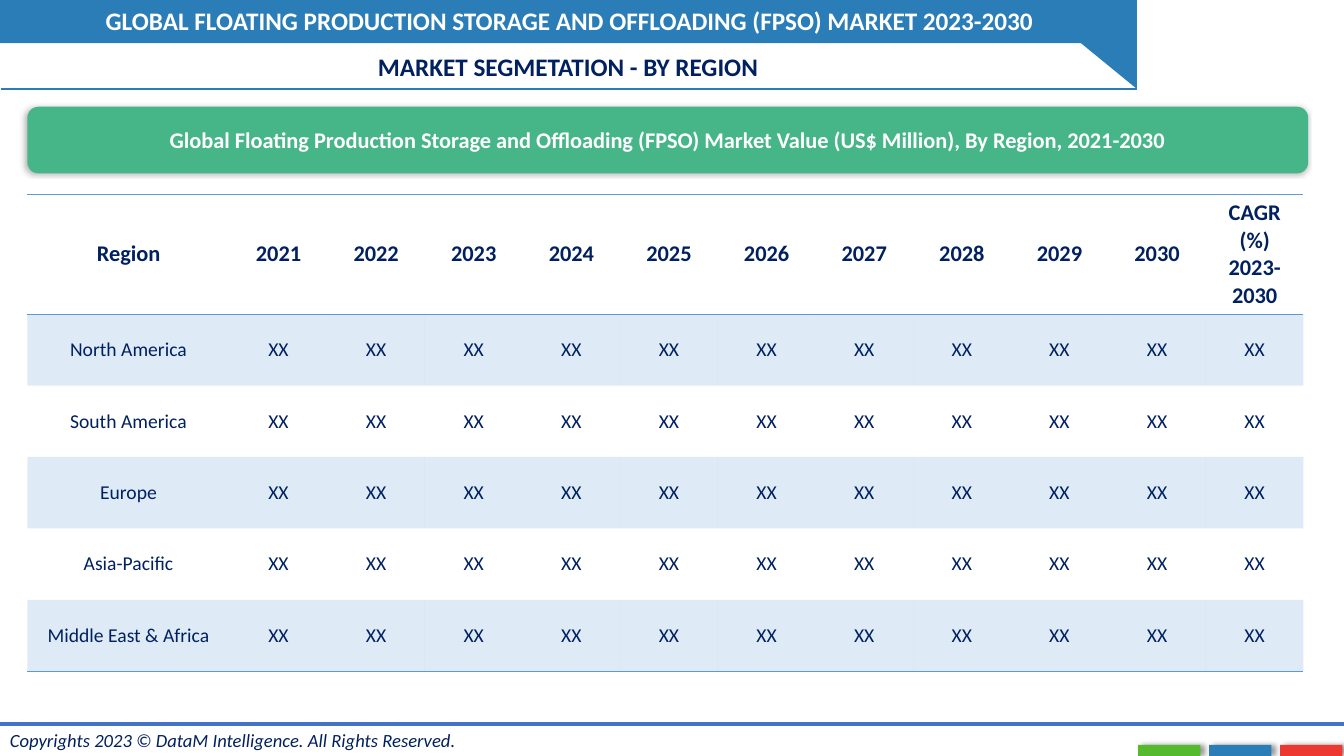
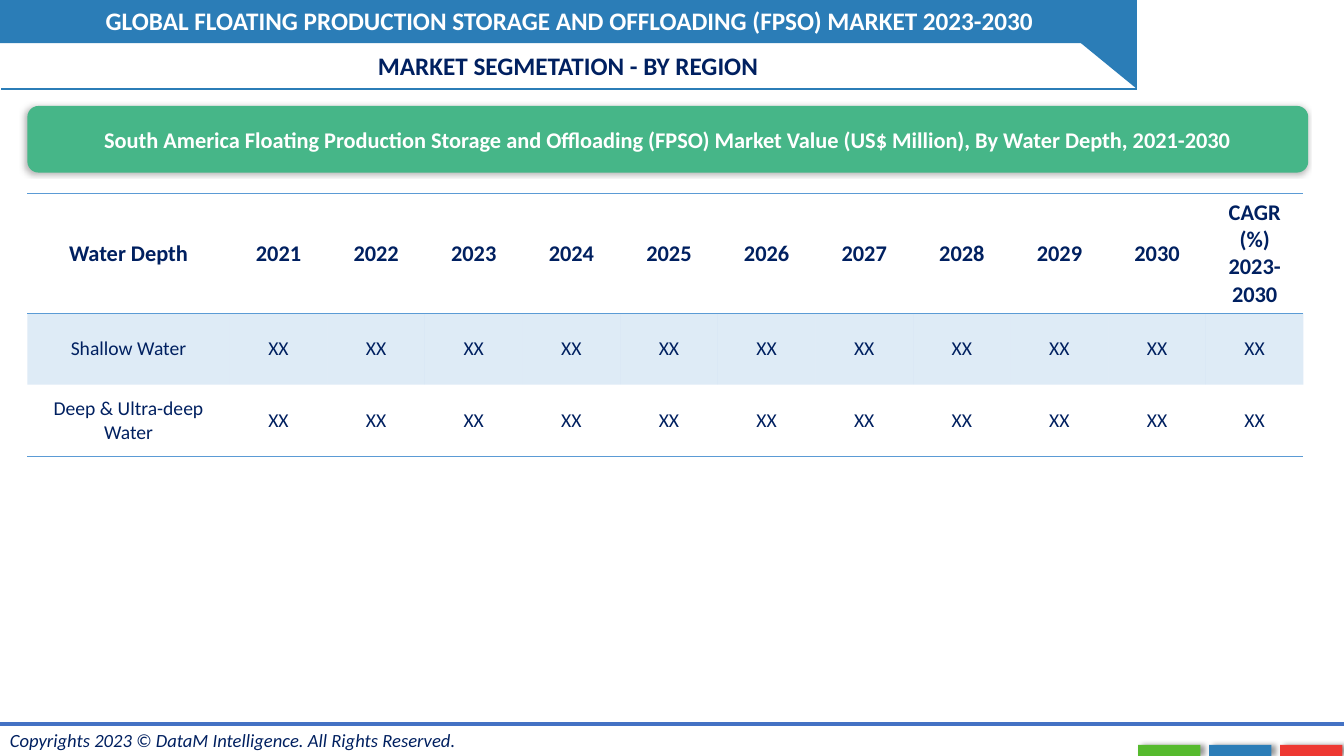
from lxml import etree
from pptx import Presentation
from pptx.dml.color import RGBColor
from pptx.enum import shapes, text
from pptx.oxml.ns import qn
from pptx.util import Cm, Pt

BLUE = RGBColor(0x2B, 0x7D, 0xB7)
GREEN = RGBColor(0x56, 0xBA, 0x2E)
RED = RGBColor(0xED, 0x38, 0x32)
TEAL = RGBColor(0x46, 0xB6, 0x88)
NAVY = RGBColor(0x00, 0x20, 0x60)
WHITE = RGBColor(0xFF, 0xFF, 0xFF)
RULE_BLUE = RGBColor(0x44, 0x72, 0xC4)
TABLE_BLUE = RGBColor(0x5B, 0x9B, 0xD5)

PLAIN_TABLE = "{2D5ABB26-0587-4C30-8999-92F81FD0307C}"
HEADING = {"size": Pt(18), "bold": True}
STRONG = {"size": Pt(16), "bold": True}
NORMAL = {"size": Pt(14), "bold": False}
SMALL = {"size": Pt(13.3), "italic": True}

YEARS = [str(year) for year in range(2021, 2031)]
REGIONS = ["North America", "South America", "Europe", "Asia-Pacific", "Middle East & Africa"]
DEPTHS = ["Shallow Water", "Deep & Ultra-deep Water"]


def write(frame, words, style, color, align=text.PP_ALIGN.CENTER):
    frame.word_wrap = True
    para = frame.paragraphs[0]
    para.alignment = align
    span = para.add_run()
    span.text = words
    for name, value in {"name": "Calibri", **style}.items():
        setattr(span.font, name, value)
    span.font.color.rgb = color


def add_text(page, place, words, style, color, align=text.PP_ALIGN.CENTER):
    box = page.shapes.add_textbox(*map(Cm, place))
    write(box.text_frame, words, style, color, align)


def add_block(page, kind, place, color):
    block = page.shapes.add_shape(kind, *map(Cm, place))
    block.shadow.inherit = False
    block.fill.solid()
    block.fill.fore_color.rgb = color
    block.line.fill.background()
    return block


def add_shadow(block, opacity, distance, direction):
    """Give a block a soft black shadow; opacity in percent, direction in degrees."""
    effects = block.element.spPr.find(qn("a:effectLst"))
    shadow = etree.SubElement(effects, qn("a:outerShdw"), blurRad=str(Pt(4)),
                              dist=str(Pt(distance)), dir=str(direction * 60000),
                              algn="ctr", rotWithShape="0")
    black = etree.SubElement(shadow, qn("a:srgbClr"), val="000000")
    etree.SubElement(black, qn("a:alpha"), val=str(opacity * 1000))


def add_rule(page, left, right, top, color, width):
    rule = page.shapes.add_connector(shapes.MSO_CONNECTOR.STRAIGHT,
                                     Cm(left), Cm(top), Cm(right), Cm(top))
    rule.line.color.rgb = color
    rule.line.width = Pt(width)
    etree.SubElement(rule.element.spPr, qn("a:effectLst"))


def draw_frame(page):
    """Draw the header band and the footer."""
    add_block(page, shapes.MSO_SHAPE.RECTANGLE, (0, 0, 27.28, 1.09), BLUE)
    for index, color in enumerate((GREEN, BLUE, RED)):
        place = (28.68 + 1.79 * index, 18.77, 1.57, 0.28)
        add_shadow(add_block(page, shapes.MSO_SHAPE.RECTANGLE, place, color), 40, 3, 0)
    corner = add_block(page, shapes.MSO_SHAPE.RIGHT_TRIANGLE, (25.91, 0, 2.74, 2.24), BLUE)
    for flip in ("flipH", "flipV"):
        corner.element.spPr.xfrm.set(flip, "1")
    add_text(page, (0, 18.24, 12, 0.84),
             "Copyrights 2023 © DataM Intelligence. All Rights Reserved.",
             SMALL, NAVY, text.PP_ALIGN.LEFT)
    add_rule(page, 0.03, 28.65, 2.24, BLUE, 1.5)
    add_rule(page, 0, 33.87, 18.24, RULE_BLUE, 3)
    add_text(page, (0.03, 0, 28.65, 1.02),
             "GLOBAL FLOATING PRODUCTION STORAGE AND OFFLOADING (FPSO) MARKET 2023-2030",
             HEADING, WHITE)


def move_frame_to_layout(page, layout):
    """Hand the frame drawn on a page to its layout, so that all pages share it."""
    for holder in list(layout.placeholders):
        if holder.placeholder_format.type != shapes.PP_PLACEHOLDER.TITLE:
            holder.element.getparent().remove(holder.element)
    for shape in list(page.shapes):
        if not shape.is_placeholder:
            layout.shapes.element.append(shape.element)


def add_border(cell, side):
    border = etree.SubElement(cell._tc.get_or_add_tcPr(), qn(f"a:ln{side}"), w=str(Pt(1)))
    fill = etree.SubElement(border, qn("a:solidFill"))
    etree.SubElement(fill, qn("a:srgbClr"), val=str(TABLE_BLUE))


def shade(cell):
    cell.fill.solid()
    cell.fill.fore_color.rgb = TABLE_BLUE
    color = cell._tc.tcPr.find(qn("a:solidFill")).find(qn("a:srgbClr"))
    etree.SubElement(color, qn("a:alpha"), val="20000")


def add_market_table(page, top, label, names):
    rows = [[label, *YEARS, "CAGR (%) 2023-2030"]]
    rows += [[name] + ["XX"] * (len(YEARS) + 1) for name in names]
    widths = [5.1] + [2.46] * (len(YEARS) + 1)
    heights = [3] + [1.8] * len(names)
    graphic = page.shapes.add_table(len(rows), len(widths), Cm(0.69), Cm(top),
                                    Cm(sum(widths)), Cm(sum(heights)))
    table = graphic.table
    table.horz_banding = False
    table._tbl.tblPr.find(qn("a:tableStyleId")).text = PLAIN_TABLE
    for column, width in zip(table.columns, widths):
        column.width = Cm(width)
    for index, (row, height) in enumerate(zip(table.rows, heights)):
        row.height = Cm(height)
        for cell, words in zip(row.cells, rows[index]):
            cell.vertical_anchor = text.MSO_ANCHOR.MIDDLE
            write(cell.text_frame, words, NORMAL if index else STRONG, NAVY)
            if index:
                for side in ("left", "right", "top", "bottom"):
                    setattr(cell, f"margin_{side}", 0)
            else:
                add_border(cell, "T")
            if index in (0, len(names)):
                add_border(cell, "B")
            if index % 2:
                shade(cell)
            else:
                cell.fill.background()


def fill_page(page, top, caption, label, names):
    """Place the title, caption banner and table; top is the banner's top in cm."""
    title = page.shapes.title
    place = {"left": 0, "top": top - 1.52, "width": 28.63, "height": 1.02}
    for name, value in place.items():
        setattr(title, name, Cm(value))
    write(title.text_frame, "MARKET SEGMETATION - BY REGION", HEADING, NAVY)
    add_market_table(page, top + 2.21, label, names)
    banner = add_block(page, shapes.MSO_SHAPE.ROUNDED_RECTANGLE, (0.69, top, 32.28, 1.68), TEAL)
    add_shadow(banner, 30, 2, 180)
    write(banner.text_frame, caption, STRONG, WHITE)


def main():
    deck = Presentation()
    deck.slide_width, deck.slide_height = Cm(33.87), Cm(19.05)
    layout = deck.slide_layouts.get_by_name("Title Only")
    by_region, by_depth = [deck.slides.add_slide(layout) for _ in range(2)]
    draw_frame(by_region)
    move_frame_to_layout(by_region, layout)
    fill_page(by_region, 2.69,
              "Global Floating Production Storage and Offloading (FPSO) Market Value "
              "(US$ Million), By Region, 2021-2030", "Region", REGIONS)
    fill_page(by_depth, 2.67,
              "South America Floating Production Storage and Offloading (FPSO) Market Value "
              "(US$ Million), By Water Depth, 2021-2030", "Water Depth", DEPTHS)
    deck.save("out.pptx")


if __name__ == "__main__":
    main()
